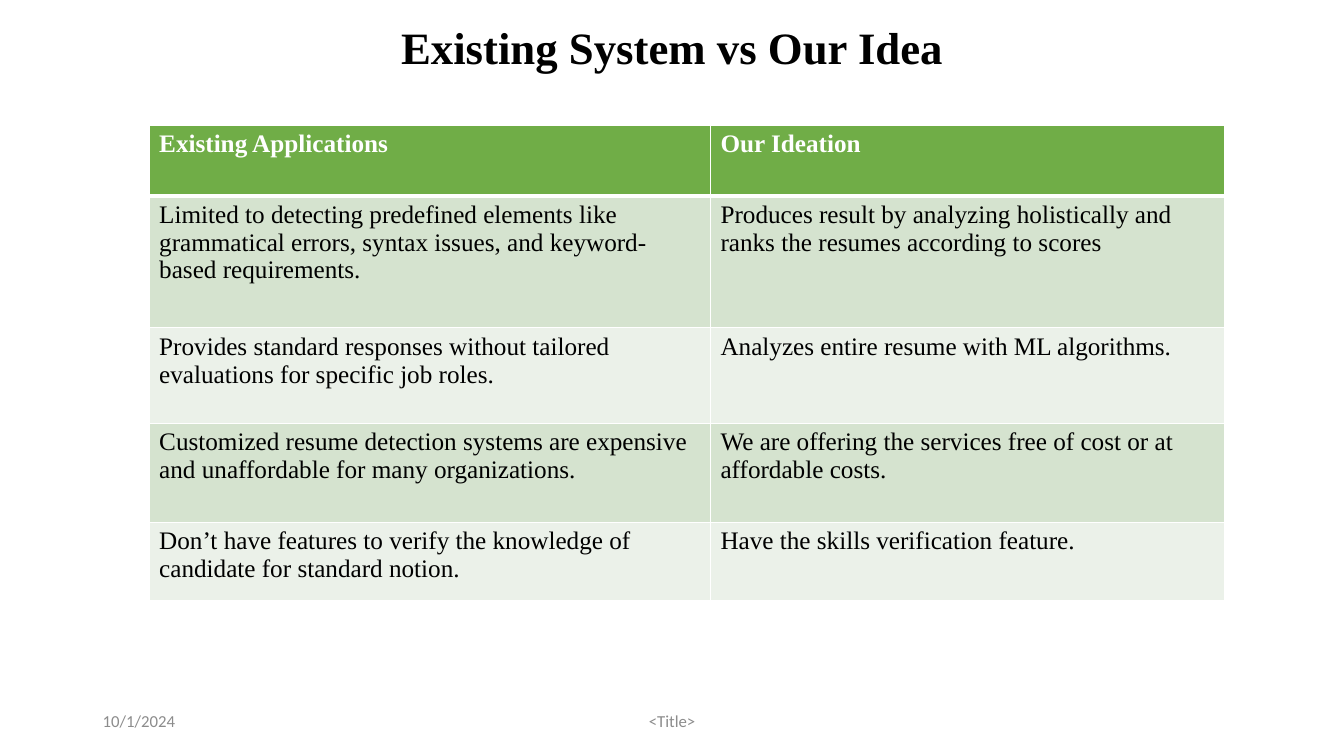
from lxml import etree
from pptx import Presentation
from pptx.dml.color import RGBColor
from pptx.enum.text import MSO_ANCHOR, MSO_AUTO_SIZE, PP_ALIGN
from pptx.oxml.ns import qn
from pptx.util import Cm, Pt

LEFT, CENTER = PP_ALIGN.LEFT, PP_ALIGN.CENTER
MIDDLE = MSO_ANCHOR.MIDDLE
NO_AUTOFIT = MSO_AUTO_SIZE.NONE

BLACK = RGBColor(0x00, 0x00, 0x00)
WHITE = RGBColor(0xFF, 0xFF, 0xFF)
GRAY = RGBColor(0x8C, 0x8C, 0x8C)
GREEN = RGBColor(0x70, 0xAD, 0x47)
BANDS = (RGBColor(0xD5, 0xE3, 0xCF), RGBColor(0xEB, 0xF1, 0xE9))

SERIF = "Times New Roman"
TITLE_FORMAT = {"name": SERIF, "size": Pt(32), "bold": True}
HEADER_FORMAT = {"name": SERIF, "size": Pt(18), "bold": True}
BODY_FORMAT = {"name": SERIF, "size": Pt(18), "bold": False}
FOOTER_FORMAT = {"name": "Calibri", "size": Pt(12)}

COLUMN_WIDTHS = (14.15, 12.95)
ROW_HEIGHTS = (1.78, 3.33, 2.41, 2.49, 1.98)
COMPARISON = (
    ("Existing Applications", "Our Ideation"),
    ("Limited to detecting predefined elements like grammatical errors, "
     "syntax issues, and keyword-based requirements.",
     "Produces result by analyzing holistically and ranks the resumes "
     "according to scores"),
    ("Provides standard responses without tailored evaluations for "
     "specific job roles.",
     "Analyzes entire resume with ML algorithms."),
    ("Customized resume detection systems are expensive and unaffordable "
     "for many organizations.",
     "We are offering the services free of cost or at affordable costs."),
    ("Don’t have features to verify the knowledge of candidate for "
     "standard notion.",
     "Have the skills verification feature."),
)


def write_text(frame, text, text_format, color, alignment=LEFT):
    para = frame.paragraphs[0]
    para.alignment = alignment
    span = para.add_run()
    span.text = text
    for name, value in text_format.items():
        setattr(span.font, name, value)
    span.font.color.rgb = color
    return para


def set_title(page, text):
    title = page.shapes.title
    title.left, title.top = Cm(2.34), Cm(0.51)
    title.width, title.height = Cm(29.21), Cm(1.5)
    title.text_frame.auto_size = NO_AUTOFIT
    title.text_frame.vertical_anchor = MIDDLE
    para = write_text(title.text_frame, text, TITLE_FORMAT, BLACK, CENTER)
    para.line_spacing = 0.9


def add_footer(page, text, left, width, alignment):
    box = page.shapes.add_textbox(Cm(left), Cm(17.65), Cm(width), Cm(1.02))
    box.text_frame.word_wrap = True
    box.text_frame.vertical_anchor = MIDDLE
    write_text(box.text_frame, text, FOOTER_FORMAT, GRAY, alignment)


def add_borders(cell, widths):
    """Draw white borders; widths maps the sides L, R, T, B to points."""
    properties = cell._tc.get_or_add_tcPr()
    for side, width in widths.items():
        line = etree.SubElement(properties, qn(f"a:ln{side}"), w=str(Pt(width)))
        fill = etree.SubElement(line, qn("a:solidFill"))
        etree.SubElement(fill, qn("a:srgbClr"), val=str(WHITE))


def fill_cell(cell, text, row):
    is_header = row == 0
    add_borders(cell, {"L": 1, "R": 1, "T": 3 if row == 1 else 1,
                       "B": 3 if is_header else 1})
    cell.fill.solid()
    cell.fill.fore_color.rgb = GREEN if is_header else BANDS[(row - 1) % 2]
    write_text(cell.text_frame, text,
               HEADER_FORMAT if is_header else BODY_FORMAT,
               WHITE if is_header else BLACK)


def add_comparison_table(page):
    table = page.shapes.add_table(
        len(ROW_HEIGHTS), len(COLUMN_WIDTHS), Cm(3.76), Cm(3.15),
        Cm(sum(COLUMN_WIDTHS)), Cm(sum(ROW_HEIGHTS))).table
    for column, width in zip(table.columns, COLUMN_WIDTHS):
        column.width = Cm(width)
    for row, height in enumerate(ROW_HEIGHTS):
        table.rows[row].height = Cm(height)
        for column, text in enumerate(COMPARISON[row]):
            fill_cell(table.cell(row, column), text, row)


def main():
    deck = Presentation()
    deck.slide_width, deck.slide_height = Cm(33.88), Cm(19.05)
    page = deck.slides.add_slide(deck.slide_layouts[5])
    set_title(page, "Existing System vs Our Idea")
    add_footer(page, "10/1/2024", 2.34, 7.62, LEFT)
    add_footer(page, "<Title>", 11.23, 11.43, CENTER)
    add_comparison_table(page)
    deck.save("out.pptx")


if __name__ == "__main__":
    main()
